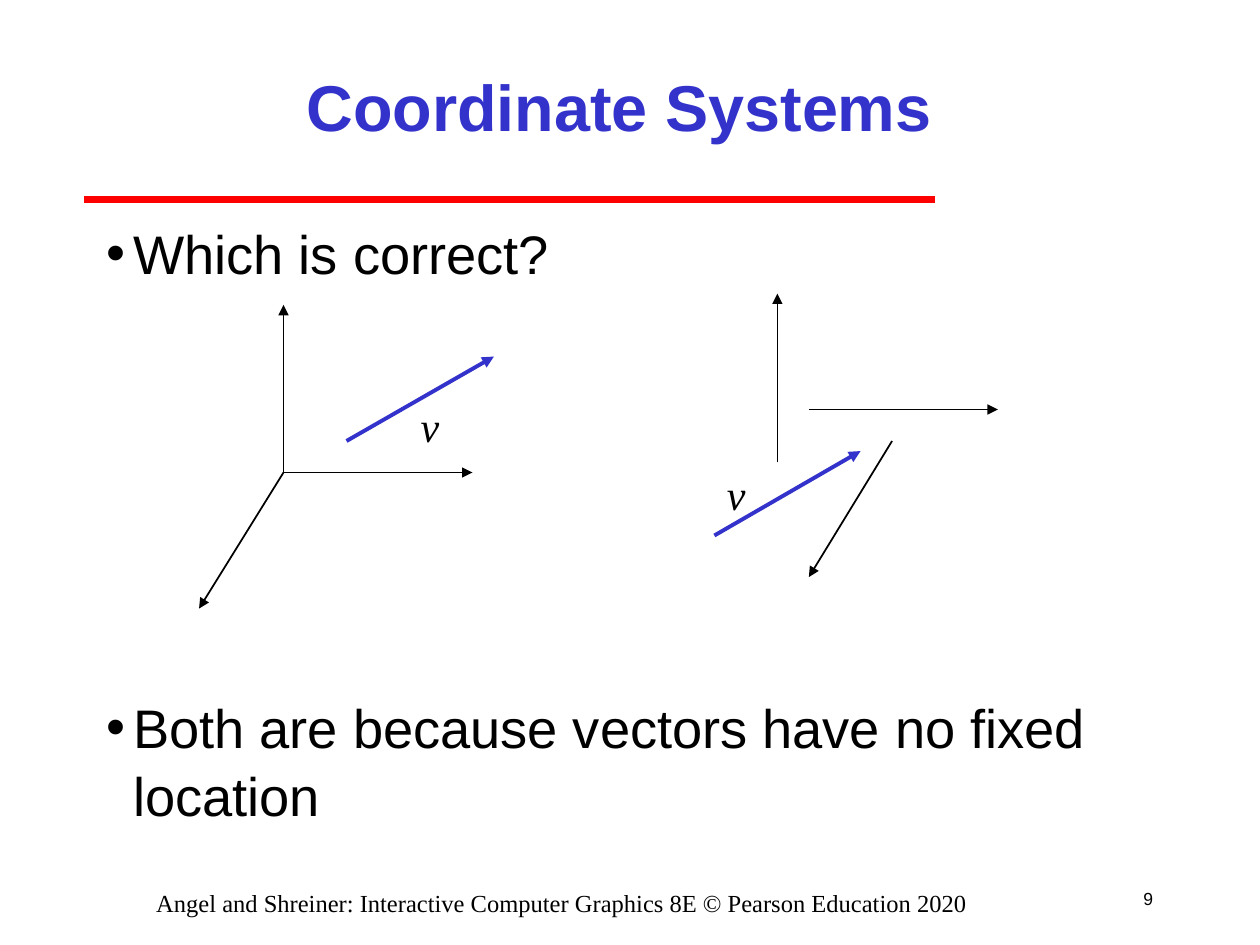
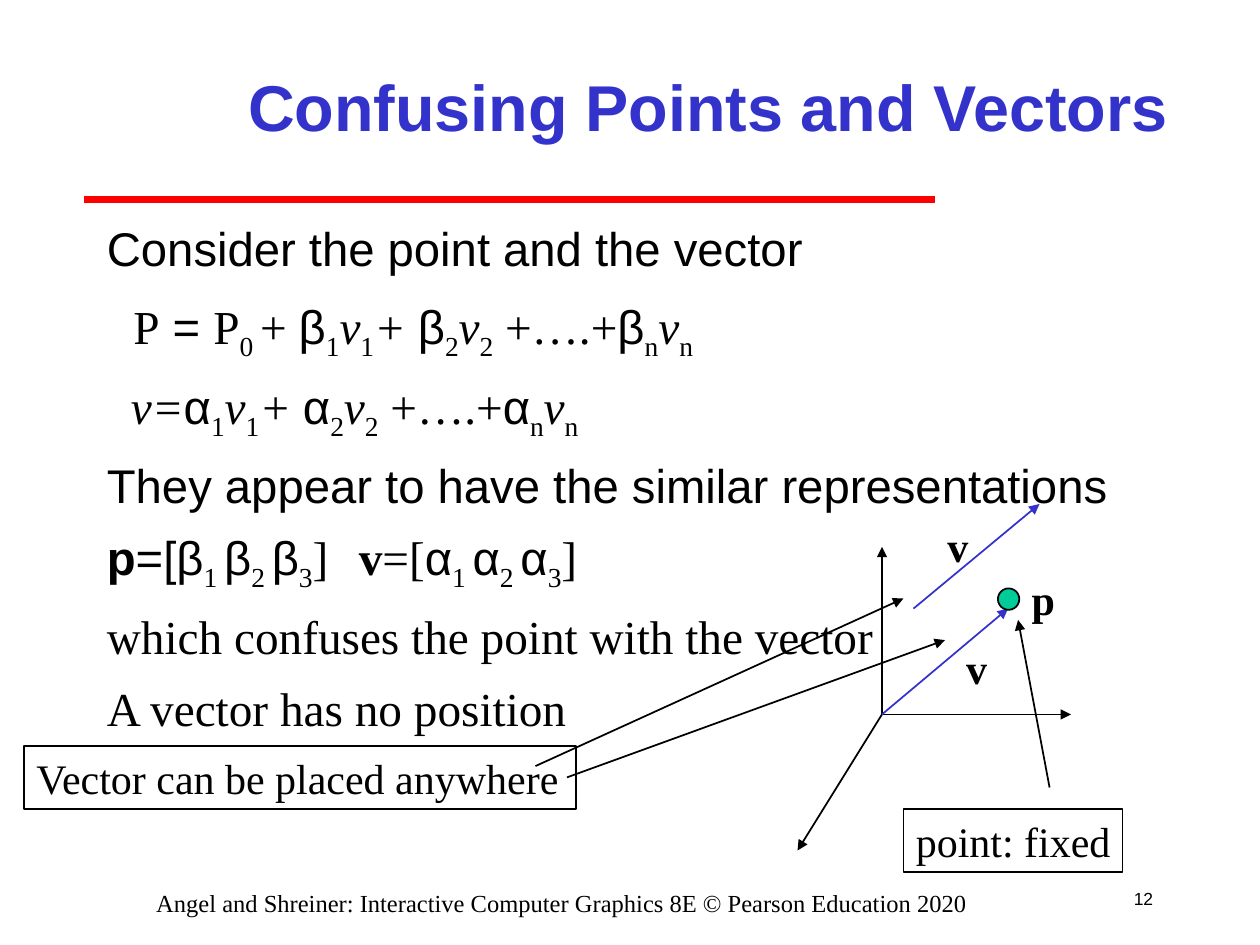
import pptx
import pptx.util
import pptx.dml.color
import pptx.enum.shapes
import pptx.enum.text
import pptx.oxml.ns
from lxml import etree

Inches = pptx.util.Inches
Pt = pptx.util.Pt
RGBColor = pptx.dml.color.RGBColor
SHAPE = pptx.enum.shapes.MSO_SHAPE
ALIGN = pptx.enum.text.PP_ALIGN
ANCHOR = pptx.enum.text.MSO_ANCHOR
qn = pptx.oxml.ns.qn

BLACK = RGBColor(0, 0, 0)
BLUE = RGBColor(0x33, 0x33, 0xCC)
RED = RGBColor(0xFF, 0, 0)
GREEN = RGBColor(0, 0xCC, 0x99)
SANS, SERIF = "Arial", "Times New Roman"
FOOTER = "Angel and Shreiner: Interactive Computer Graphics 8E © Pearson Education 2020"

TITLE = {"name": SANS, "size": Pt(37), "bold": True}
PAGE = {"name": SANS, "size": Pt(10)}
FOOT = {"name": SERIF, "size": Pt(14)}
LABEL = {"name": SERIF, "size": Pt(24)}
POINT = {"name": SANS, "size": Pt(31)}
KINDS = {
    "sans": {"name": SANS},
    "serif": {"name": SERIF},
    "sub": {"name": SERIF},
    "slant": {"name": SERIF, "italic": True},
    "bold": {"name": SANS, "bold": True},
    "thick": {"name": SERIF, "bold": True},
}


def put(item, values):
    for key, value in values.items():
        setattr(item, key, value)


def write(par, text, form, color=BLACK):
    run = par.add_run()
    run.text = text
    put(run.font, form)
    run.font.color.rgb = color
    return run


def text_box(slide, box, wrap=True, anchor=ANCHOR.TOP):
    frame = slide.shapes.add_textbox(*map(Inches, box)).text_frame
    put(frame, {"word_wrap": wrap, "vertical_anchor": anchor})
    return frame


def line(slide, start, end, color=BLACK, width=1, arrow=True):
    link = slide.shapes.add_connector(
        pptx.enum.shapes.MSO_CONNECTOR.STRAIGHT, *map(Inches, (*start, *end)))
    link.line.color.rgb = color
    link.line.width = Pt(width)
    if arrow:
        etree.SubElement(link.line._get_or_add_ln(), qn("a:tailEnd"), type="triangle")
    etree.SubElement(link._element.spPr, qn("a:effectLst"))


def arrows(slide, x, y, ends, color=BLACK, width=1):
    for x1, y1, x2, y2 in ends:
        line(slide, (x + x1, y + y1), (x + x2, y + y2), color, width)


def axes(slide, x, y):
    arrows(slide, x, y, [(0, 0, 1.5, 0), (0, 0, 0, -1.33), (0, 0, -0.67, 1.08)])


def label(slide, x, y, text, **form):
    frame = text_box(slide, (x, y, 0.36, 0.5), False)
    write(frame.paragraphs[0], text, {**LABEL, **form})


def shape(slide, kind, box, fill=None):
    item = slide.shapes.add_shape(kind, *map(Inches, box))
    item.shadow.inherit = False
    if fill is None:
        item.fill.background()
    else:
        item.fill.solid()
        item.fill.fore_color.rgb = fill
    item.line.color.rgb = BLACK
    item.line.width = Pt(1)
    return item


def note(slide, box, text):
    frame = shape(slide, SHAPE.RECTANGLE, box).text_frame
    put(frame, {"word_wrap": False, "vertical_anchor": ANCHOR.TOP})
    par = frame.paragraphs[0]
    par.alignment = ALIGN.LEFT
    write(par, text, LABEL)


def base(deck, title, left, width, page):
    slide = deck.slides.add_slide(deck.slide_layouts[6])
    line(slide, (0.67, 1.58), (7.42, 1.58), RED, 4, False)
    parts = [
        (title, (left, 0.25, width, 1.17), TITLE, BLUE, ALIGN.CENTER, ANCHOR.MIDDLE),
        (page, (8.83, 6.92, 0.42, 0.42), PAGE, BLACK, ALIGN.RIGHT, ANCHOR.MIDDLE),
        (FOOTER, (0.5, 7, 7.92, 0.5), FOOT, BLACK, ALIGN.CENTER, ANCHOR.TOP),
    ]
    for text, box, form, color, align, anchor in parts:
        par = text_box(slide, box, True, anchor).paragraphs[0]
        par.alignment = align
        write(par, text, form, color)
    return slide


def body(slide, box, rows):
    frame = text_box(slide, box)
    for index, (before, fill) in enumerate(rows):
        par = frame.add_paragraph() if index else frame.paragraphs[0]
        par.line_spacing = 1.05
        if index:
            par.space_before = Pt(before)
        fill(par)


def bullet(text):
    def fill(par):
        props = par._p.get_or_add_pPr()
        put_xml(props, {"marL": Inches(0.21), "indent": -Inches(0.21)})
        etree.SubElement(props, qn("a:buFont"), typeface=SANS)
        etree.SubElement(props, qn("a:buChar"), char="•")
        write(par, text, POINT)
    return fill


def put_xml(node, values):
    for key, value in values.items():
        node.set(key, str(value))


def mixed(*runs, indent=0, tab=None):
    def fill(par):
        props = par._p.get_or_add_pPr()
        put_xml(props, {"marL": Inches(indent), "indent": 0})
        if tab:
            tabs = etree.SubElement(props, qn("a:tabLst"))
            etree.SubElement(tabs, qn("a:tab"), pos=str(Inches(tab)), algn="l")
        for text, kind in runs:
            run = write(par, text, {"size": Pt(27), **KINDS[kind]})
            if kind == "sub":
                run._r.get_or_add_rPr().set("baseline", "-25000")
    return fill


def total(sign):
    runs = []
    for low, link, kind in (("1", "+ ", "slant"), ("2", " +….+", "serif"), ("n", "", "")):
        runs += [(sign, "sans"), (low, "sub"), ("v", "slant"), (low, "sub")]
        if link:
            runs.append((link, kind))
    return runs


def triple(sign):
    runs = []
    for low in ("1 ", "2 ", "3"):
        runs += [(sign, "sans"), (low, "sub")]
    return runs


def joined(slide, x, y):
    axes(slide, x, y)
    arrows(slide, x, y, [(0.5, -0.25, 1.67, -0.92)], BLUE, 2.25)
    label(slide, x + 0.99, y - 0.62, "v", italic=True)


def apart(slide, x, y):
    arrows(slide, x, y, [(0.25, -0.42, 1.75, -0.42), (0, 0, 0, -1.34),
                         (0.91, -0.17, 0.25, 0.91)])
    arrows(slide, x, y, [(-0.5, 0.58, 0.66, -0.09)], BLUE, 2.25)
    label(slide, x - 0.5, y, "v", italic=True)


def placed(slide, x, y):
    axes(slide, x, y)
    arrows(slide, x, y, [(0, 0, 1, -0.84), (0.25, -0.84, 1.25, -1.67)], BLUE)
    for dx, dy, text in ((0.57, -0.62, "v"), (1.09, -1.17, "p"), (0.42, -1.59, "v")):
        label(slide, x + dx, y + dy, text, bold=True)
    arrows(slide, x, y, [(-2.75, 0.41, 0.17, -0.92), (-2.5, 0.5, 0.5, -0.59),
                         (1.33, 0.58, 1.08, -0.75)])
    shape(slide, SHAPE.OVAL, (x + 0.92, y - 1, 0.17, 0.17), GREEN)
    note(slide, (x - 6.81, y + 0.25, 4.38, 0.5), "Vector can be placed anywhere")
    note(slide, (x + 0.17, y + 0.75, 1.74, 0.5), "point: fixed")


def systems(deck, box):
    slide = base(deck, "Coordinate Systems", 1.5, 6.83, "9")
    body(slide, box, [
        (0, bullet("Which is correct?")),
        (232, bullet("Both are because vectors have no fixed location")),
    ])
    joined(slide, 2.25, 3.75)
    apart(slide, 6.17, 3.67)


def confusing(deck, box):
    slide = base(deck, "Confusing Points and Vectors", 1.83, 7.58, "12")
    body(slide, box, [
        (0, mixed(("Consider the point and the vector", "sans"))),
        (10.4, mixed(("P", "serif"), (" = ", "sans"), ("P", "serif"), ("0 ", "sub"),
                     ("+ ", "serif"), *total("β"), indent=0.21)),
        (6.8, mixed(("v=", "slant"), *total("α"), indent=0.19)),
        (6.8, mixed(("They appear to have the similar representations", "sans"))),
        (6.8, mixed(("p", "bold"), ("=[", "sans"), *triple("β"), ("]\t", "serif"),
                    ("v", "thick"), ("=[", "serif"), *triple("α"), ("]", "serif"),
                    tab=2.79)),
        (6.8, mixed(("which confuses the point with the vector", "serif"))),
        (6.8, mixed(("A vector has no position", "serif"))),
    ])
    placed(slide, 7, 5.67)


def main():
    deck = pptx.Presentation()
    put(deck, {"slide_width": Inches(10), "slide_height": Inches(7.5)})
    box = (0.75, 1.67, 8.5, 5.17)
    systems(deck, box)
    confusing(deck, box)
    deck.save("out.pptx")


if __name__ == "__main__":
    main()
